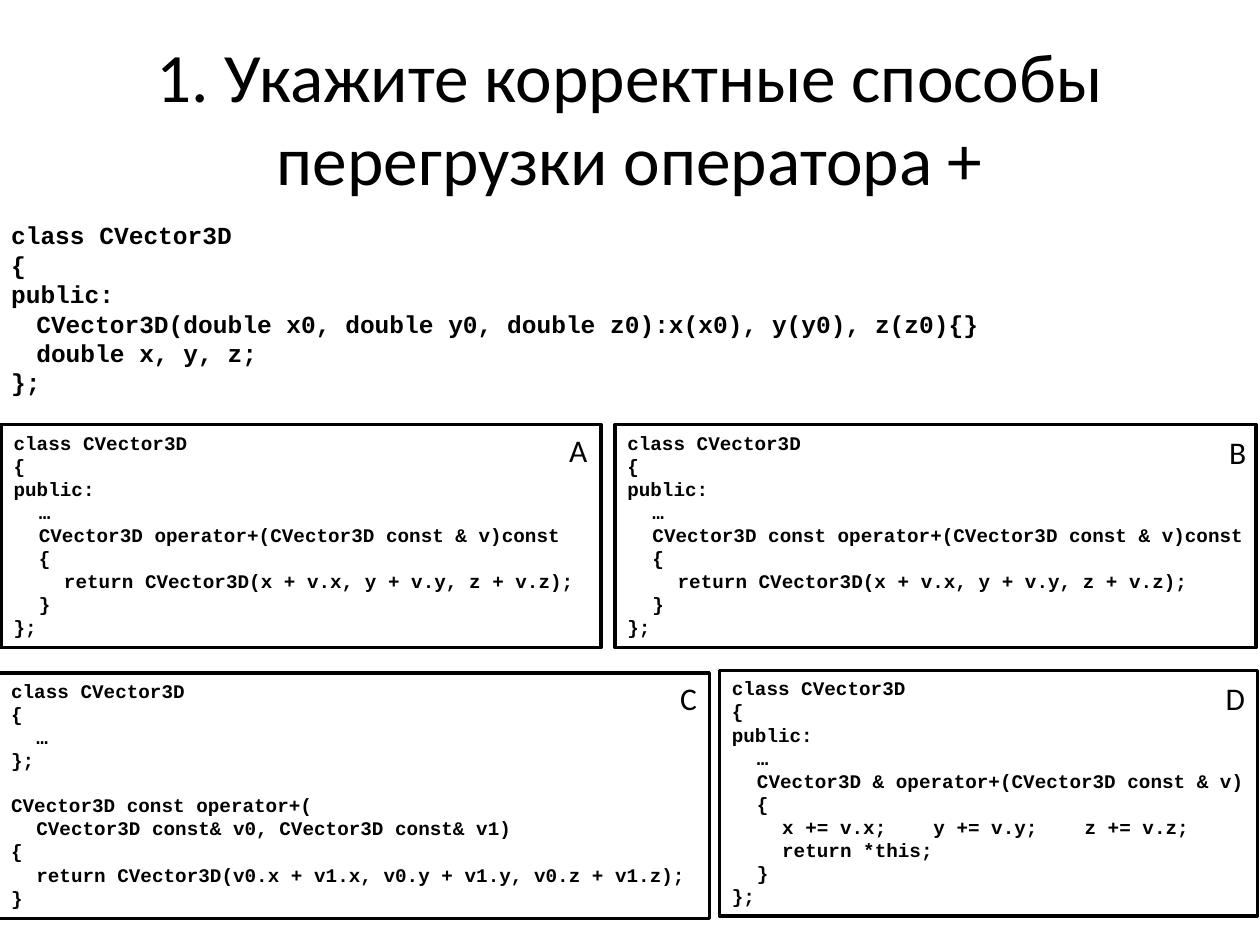
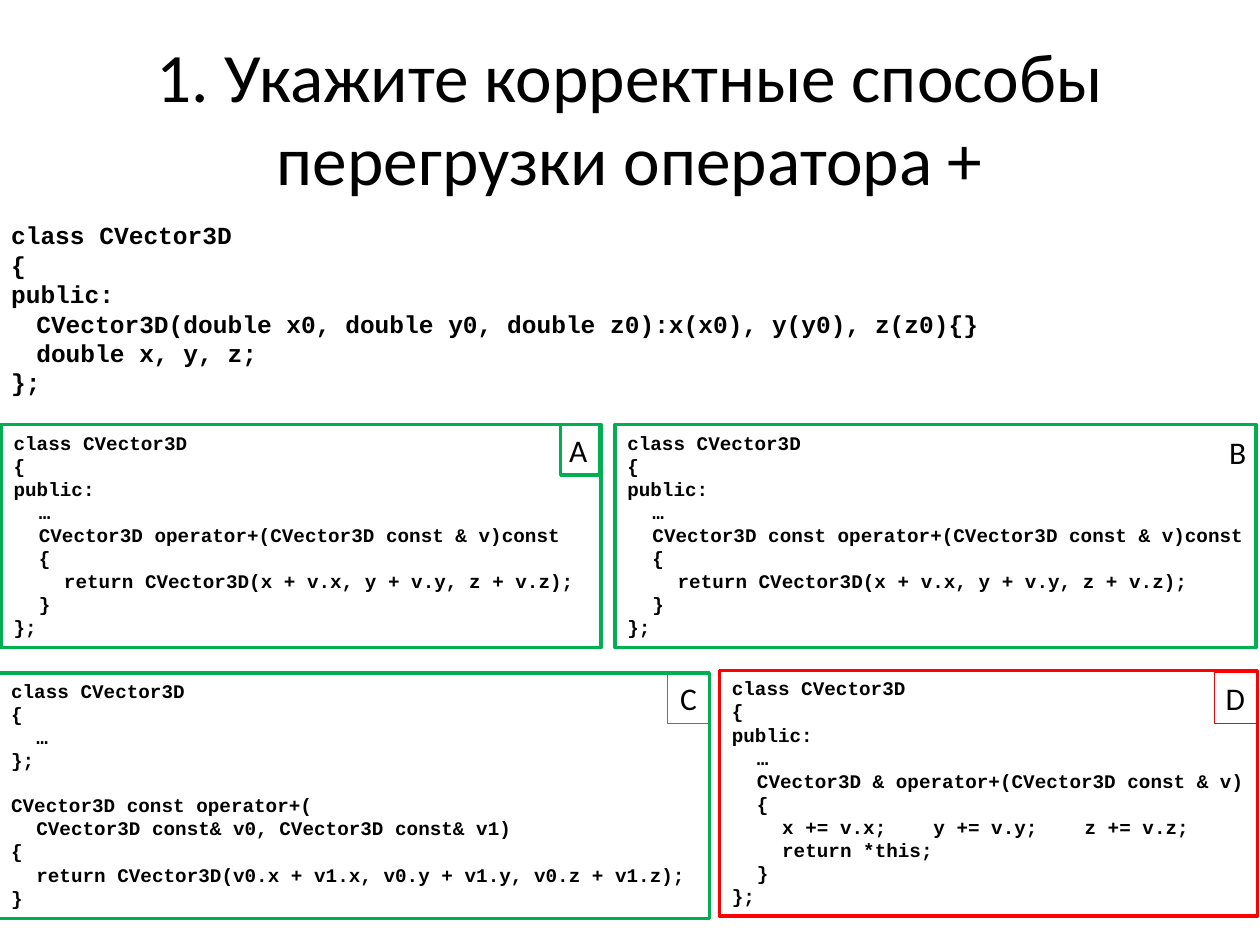
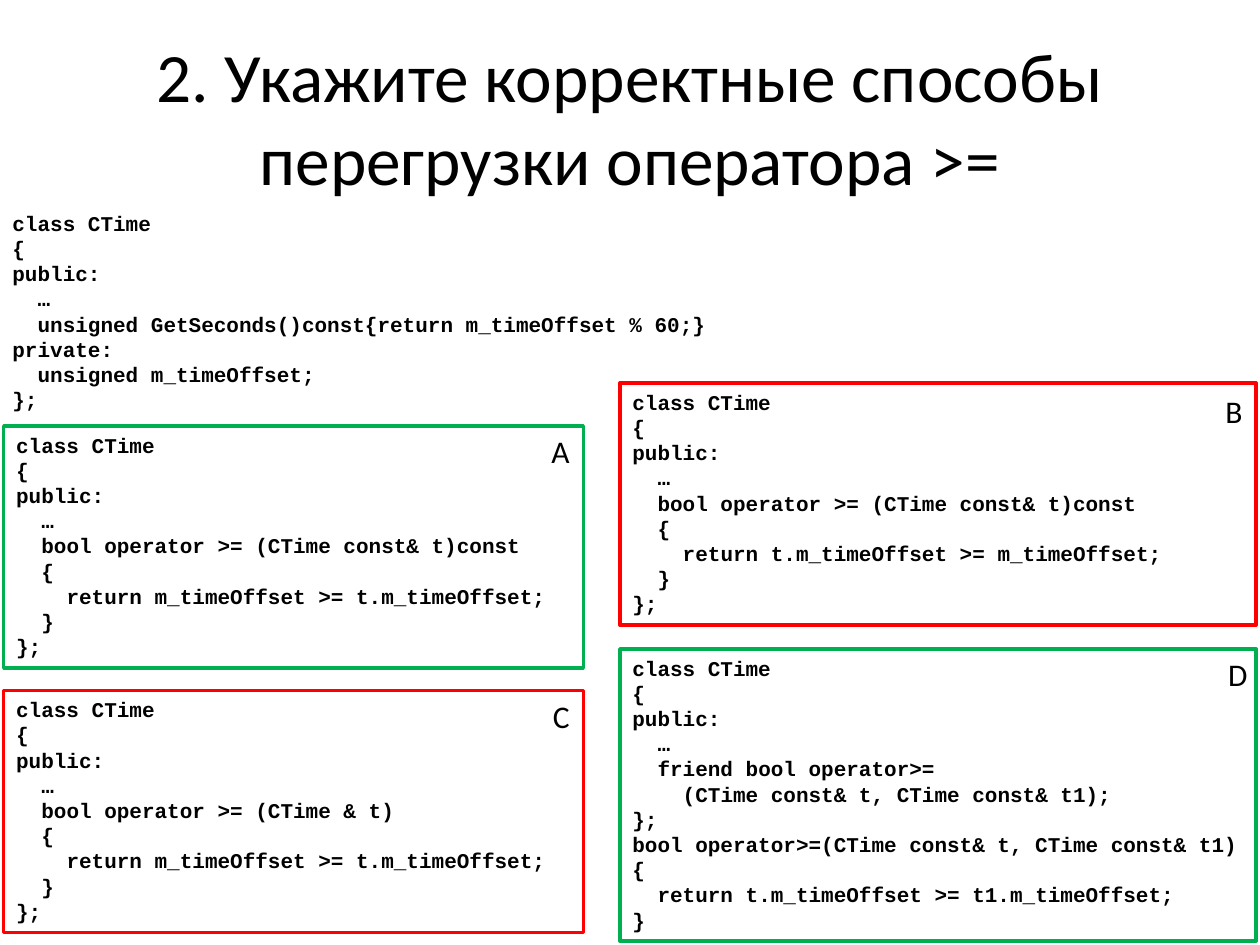
"""Build three quiz slides on C++ operator overloading."""
from dataclasses import dataclass

from lxml import etree
from pptx import Presentation
from pptx import util as u
from pptx.dml.color import RGBColor
from pptx.enum import shapes, text
from pptx.oxml import ns

BLACK = RGBColor(0x00, 0x00, 0x00)
WHITE = RGBColor(0xFF, 0xFF, 0xFF)
GREEN = RGBColor(0x00, 0xB0, 0x50)
RED = RGBColor(0xFF, 0x00, 0x00)

TITLE = {"name": "Calibri", "size": u.Pt(39.6), "bold": False}
LETTER = {"name": "Calibri", "size": u.Pt(18), "bold": False}
CODE = {"name": "Courier New", "bold": True}
FRAME = {
    "word_wrap": True,
    "auto_size": text.MSO_AUTO_SIZE.NONE,
    "vertical_anchor": text.MSO_ANCHOR.TOP,
}
TAB_STEP = 0.2
TAB_COUNT = 16


def apply(target, values):
    for name, value in values.items():
        setattr(target, name, value)


@dataclass
class QuizDeck:
    deck: object
    page: object = None

    def new_page(self):
        self.page = self.deck.slides.add_slide(self.deck.slide_layouts[6])

    def text_box(self, at):
        return self.page.shapes.add_textbox(*map(u.Inches, at))

    def rectangle(self, at, line, width, fill=None):
        box = self.page.shapes.add_shape(
            shapes.MSO_SHAPE.RECTANGLE, *map(u.Inches, at))
        box.shadow.inherit = False
        if fill is None:
            box.fill.background()
        else:
            box.fill.solid()
            box.fill.fore_color.rgb = fill
        box.line.color.rgb = line
        box.line.width = u.Pt(width)
        return box

    def fill_text(self, box, lines, font, align, **frame):
        apply(box.text_frame, {**FRAME, **frame})
        gap = False
        for index, line in enumerate(lines):
            if not line:
                gap = True
                continue
            para = box.text_frame.add_paragraph() if index else box.text_frame.paragraphs[0]
            para.alignment = align
            if gap:
                para.space_before = u.Pt(12.5)
                gap = False
            if "\t" in line:
                self.tab_stops(para)
            span = para.add_run()
            span.text = line
            apply(span.font, font)
            span.font.color.rgb = BLACK

    def tab_stops(self, para):
        stops = etree.SubElement(para._p.get_or_add_pPr(), ns.qn("a:tabLst"))
        for number in range(1, TAB_COUNT + 1):
            position = str(int(u.Inches(TAB_STEP * number)))
            etree.SubElement(stops, ns.qn("a:tab"), pos=position, algn="l")

    def title(self, words):
        self.fill_text(self.text_box((0.5, 0.3, 9, 1.25)), [words], TITLE,
                       text.PP_ALIGN.CENTER, vertical_anchor=text.MSO_ANCHOR.MIDDLE)

    def code(self, box, lines, size):
        self.fill_text(box, lines, {**CODE, "size": u.Pt(size)}, text.PP_ALIGN.LEFT)

    def listing(self, at, lines, size):
        self.code(self.text_box(at), lines, size)

    def panel(self, at, lines, size, line):
        self.code(self.rectangle(at, line, 2, WHITE), lines, size)

    def letter(self, at, sign, line, width):
        box = self.rectangle(at, line, width) if width else self.text_box(at)
        self.fill_text(box, [sign], LETTER, text.PP_ALIGN.RIGHT, word_wrap=False)


def class_with_method(name, signature, *body):
    return [f"class {name}", "{", "public:", "\t…", f"\t{signature}", "\t{",
            *(f"\t\t{line}" for line in body), "\t}", "};"]


VECTOR = ["class CVector3D", "{", "public:",
          "\tCVector3D(double x0, double y0, double z0):x(x0), y(y0), z(z0){}",
          "\tdouble x, y, z;", "};"]
VECTOR_SUM = "return CVector3D(x + v.x, y + v.y, z + v.z);"
VECTOR_OPTIONS = {
    "A": ((0.01, 3.37, 4.76, 1.77), (4.45, 3.37, 0.31, 0.4), class_with_method(
        "CVector3D", "CVector3D operator+(CVector3D const & v)const", VECTOR_SUM)),
    "C": ((-0.01, 5.34, 5.64, 1.95), (5.3, 5.34, 0.33, 0.4), [
        "class CVector3D", "{", "\t…", "};", "",
        "CVector3D const operator+(",
        "\tCVector3D const& v0, CVector3D const& v1)", "{",
        "\treturn CVector3D(v0.x + v1.x, v0.y + v1.y, v0.z + v1.z);", "}"]),
    "D": ((5.71, 5.32, 4.27, 1.95), (9.64, 5.34, 0.34, 0.4), class_with_method(
        "CVector3D", "CVector3D & operator+(CVector3D const & v)",
        "x += v.x;\t\ty += v.y;\t\tz += v.z;", "return *this;")),
    "B": ((4.88, 3.37, 5.09, 1.77), (9.68, 3.39, 0.31, 0.4), class_with_method(
        "CVector3D", "CVector3D const operator+(CVector3D const & v)const", VECTOR_SUM)),
}
UNMARKED = {sign: (BLACK, None) for sign in VECTOR_OPTIONS}
MARKED = {"A": (GREEN, 2), "B": (GREEN, None), "C": (GREEN, 0.75), "D": (RED, 0.75)}

TIME = ["class CTime", "{", "public:", "\t…",
        "\tunsigned GetSeconds()const{return m_timeOffset % 60;}",
        "private:", "\tunsigned m_timeOffset;", "};"]
OWN_FIRST = "return m_timeOffset >= t.m_timeOffset;"
TIME_OPTIONS = {
    "A": ((0.03, 3.38, 4.6, 1.92), (4.29, 3.38, 0.33, 0.4), class_with_method(
        "CTime", "bool operator >= (CTime const& t)const", OWN_FIRST)),
    "B": ((4.92, 3.04, 5.05, 1.92), (9.63, 3.06, 0.33, 0.4), class_with_method(
        "CTime", "bool operator >= (CTime const& t)const",
        "return t.m_timeOffset >= m_timeOffset;")),
    "C": ((0.03, 5.48, 4.6, 1.92), (4.29, 5.48, 0.33, 0.4), class_with_method(
        "CTime", "bool operator >= (CTime & t)", OWN_FIRST)),
    "D": ((4.92, 5.15, 5.05, 2.32), (9.67, 5.15, 0.33, 0.4), [
        "class CTime", "{", "public:", "\t…", "\tfriend bool operator>=",
        "\t\t(CTime const& t, CTime const& t1);", "};",
        "bool operator>=(CTime const& t, CTime const& t1)", "{",
        "\treturn t.m_timeOffset >= t1.m_timeOffset;", "}"]),
}
TIME_MARKS = {"A": (GREEN, None), "B": (RED, None), "C": (RED, None), "D": (GREEN, None)}

VECTOR_QUESTION = ("1. Укажите корректные способы перегрузки оператора +",
                   (-0.01, 1.7, 10, 1.51), VECTOR, 14, VECTOR_OPTIONS, 11)
TIME_QUESTION = ("2. Укажите корректные способы перегрузки оператора >=",
                 (0, 1.62, 9.25, 1.72), TIME, 12, TIME_OPTIONS, 12)

deck = Presentation()
deck.slide_width, deck.slide_height = u.Inches(10), u.Inches(7.5)
quiz = QuizDeck(deck)
for question, marks in ((VECTOR_QUESTION, UNMARKED), (VECTOR_QUESTION, MARKED),
                        (TIME_QUESTION, TIME_MARKS)):
    heading, place, source, source_size, options, option_size = question
    quiz.new_page()
    quiz.title(heading)
    quiz.listing(place, source, source_size)
    for sign, (panel_at, letter_at, lines) in options.items():
        color, letter_width = marks[sign]
        quiz.panel(panel_at, lines, option_size, color)
        quiz.letter(letter_at, sign, color, letter_width)
deck.save("out.pptx")
